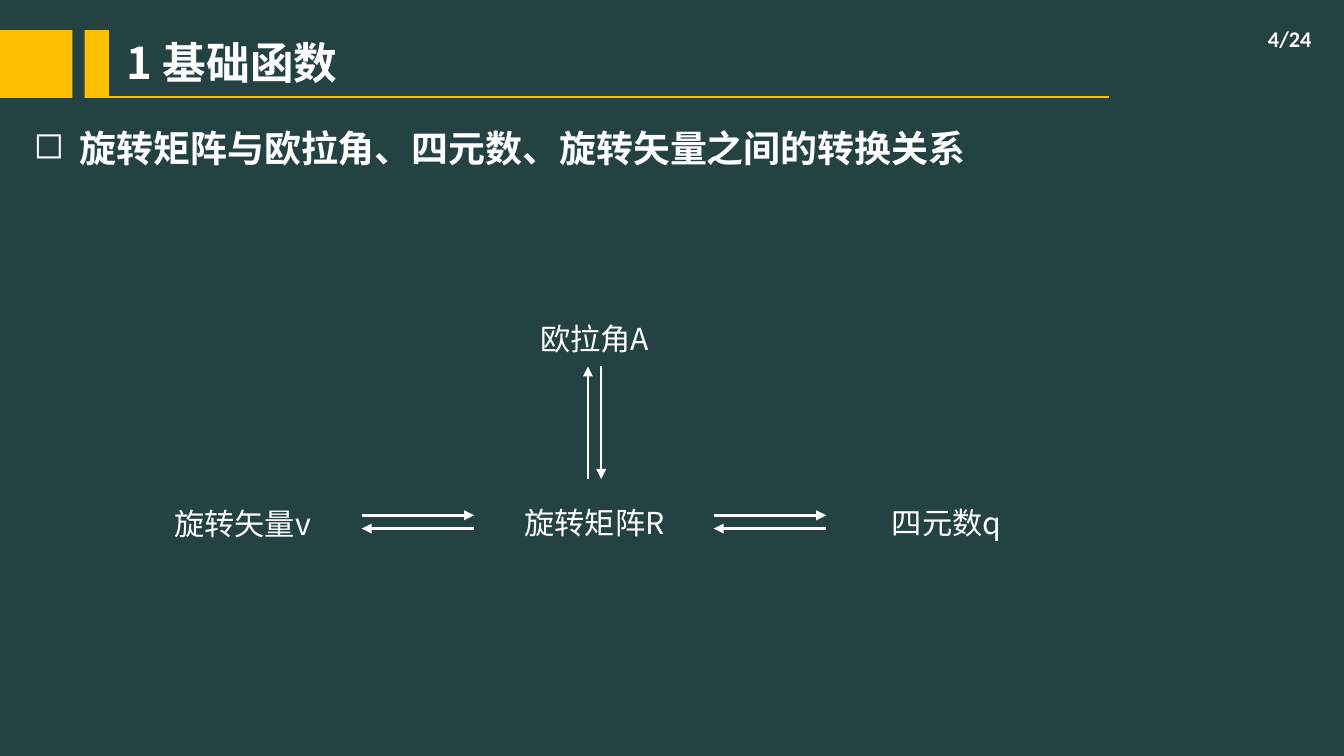
from dataclasses import dataclass

from lxml.etree import SubElement
from pptx import Presentation
from pptx.dml.color import RGBColor as RGB
from pptx.enum.shapes import MSO_CONNECTOR as CONN, MSO_SHAPE as SHAPE
from pptx.enum.text import MSO_ANCHOR as ANCHOR, PP_ALIGN as ALIGN
from pptx.oxml.ns import qn
from pptx.util import Inches, Pt


@dataclass(frozen=True)
class Theme:
    background: RGB = RGB(0x24, 0x42, 0x42)
    accent: RGB = RGB(0xFF, 0xC0, 0x00)
    text: RGB = RGB(0xFF, 0xFF, 0xFF)
    font: str = "Noto Sans CJK SC"
    number_font: str = "Calibri"
    title_size: float = 26
    body_size: float = 22
    label_size: float = 18
    number_size: float = 13.3
    rule_width: float = 1.25
    arrow_width: float = 1.5


theme = Theme()
prs = Presentation()
prs.slide_width, prs.slide_height = Inches(11.11), Inches(6.25)
slide = prs.slides.add_slide(prs.slide_layouts[6])
slide.background.fill.solid()
slide.background.fill.fore_color.rgb = theme.background


def add_text(text, box, size, font=theme.font, bold=False,
             align=ALIGN.LEFT, anchor=ANCHOR.MIDDLE):
    tf = slide.shapes.add_textbox(*map(Inches, box)).text_frame
    tf.word_wrap = True
    tf.vertical_anchor = anchor
    p = tf.paragraphs[0]
    p.alignment = align
    r = p.add_run()
    r.text = text
    r.font.size, r.font.bold = Pt(size), bold
    r.font.color.rgb = theme.text
    r.font.name = font
    SubElement(r.font._element, qn("a:ea"), typeface=font)
    return tf


def add_line(x1, y1, x2, y2, color, width, arrow=False):
    line = slide.shapes.add_connector(CONN.STRAIGHT, *map(Inches, (x1, y1, x2, y2)))
    line.line.color.rgb = color
    line.line.width = Pt(width)
    if arrow:
        SubElement(line.line._get_or_add_ln(), qn("a:tailEnd"), type="triangle")
    SubElement(line._element.spPr, qn("a:effectLst"))


# Header: two stacks of four bars and a rule
bar_height = 0.14
for left, width in ((0, 0.6), (0.7, 0.2)):
    for row in range(4):
        sp = slide.shapes.add_shape(SHAPE.RECTANGLE, Inches(left),
                                    Inches(0.25 + row * bar_height),
                                    Inches(width), Inches(bar_height))
        sp.shadow.inherit = False
        sp.fill.solid()
        sp.fill.fore_color.rgb = theme.accent
        sp.line.fill.background()
add_line(0.7, 0.8, 9.17, 0.8, theme.accent, theme.rule_width)

# Title and page number
tf = add_text("1 基础函数", (1.05, 0.29, 7.73, 0.45), theme.title_size, bold=True)
tf.margin_left = tf.margin_right = tf.margin_top = tf.margin_bottom = 0
add_text("4/24", (8.39, 0.15, 2.55, 0.33), theme.number_size,
         font=theme.number_font, bold=True, align=ALIGN.RIGHT)

# Bulleted statement
tf = add_text("旋转矩阵与欧拉角、四元数、旋转矢量之间的转换关系",
              (0.18, 0.81, 10.65, 0.93), theme.body_size, bold=True,
              anchor=ANCHOR.TOP)
p = tf.paragraphs[0]
p.line_spacing = 1.5
p.space_before = Pt(0.2 * theme.body_size)
pPr = p._p.get_or_add_pPr()
pPr.set("marL", str(Inches(0.38)))
pPr.set("indent", str(Inches(-0.38)))
SubElement(pPr, qn("a:buChar"), char="◻")

# Diagram labels
for label, left, top in (("旋转矩阵R", 3.7, 3.73), ("四元数q", 6.61, 3.73),
                         ("欧拉角A", 3.7, 2.21), ("旋转矢量v", 0.79, 3.74)):
    add_text(label, (left, top, 2.43, 1.18), theme.label_size, align=ALIGN.CENTER)

# Arrow pairs, one arrow each way
arrow_length, pair_gap = 0.93, 0.11
arrows = []
for x in (2.99, 5.9):
    y, end = 4.26, x + arrow_length
    arrows += [(x, y, end, y), (end, y + pair_gap, x, y + pair_gap)]
x, y = 4.86, 3.03
end = y + arrow_length
arrows += [(x, end, x, y), (x + pair_gap, y, x + pair_gap, end)]
for ends in arrows:
    add_line(*ends, theme.text, theme.arrow_width, arrow=True)

prs.save("out.pptx")
